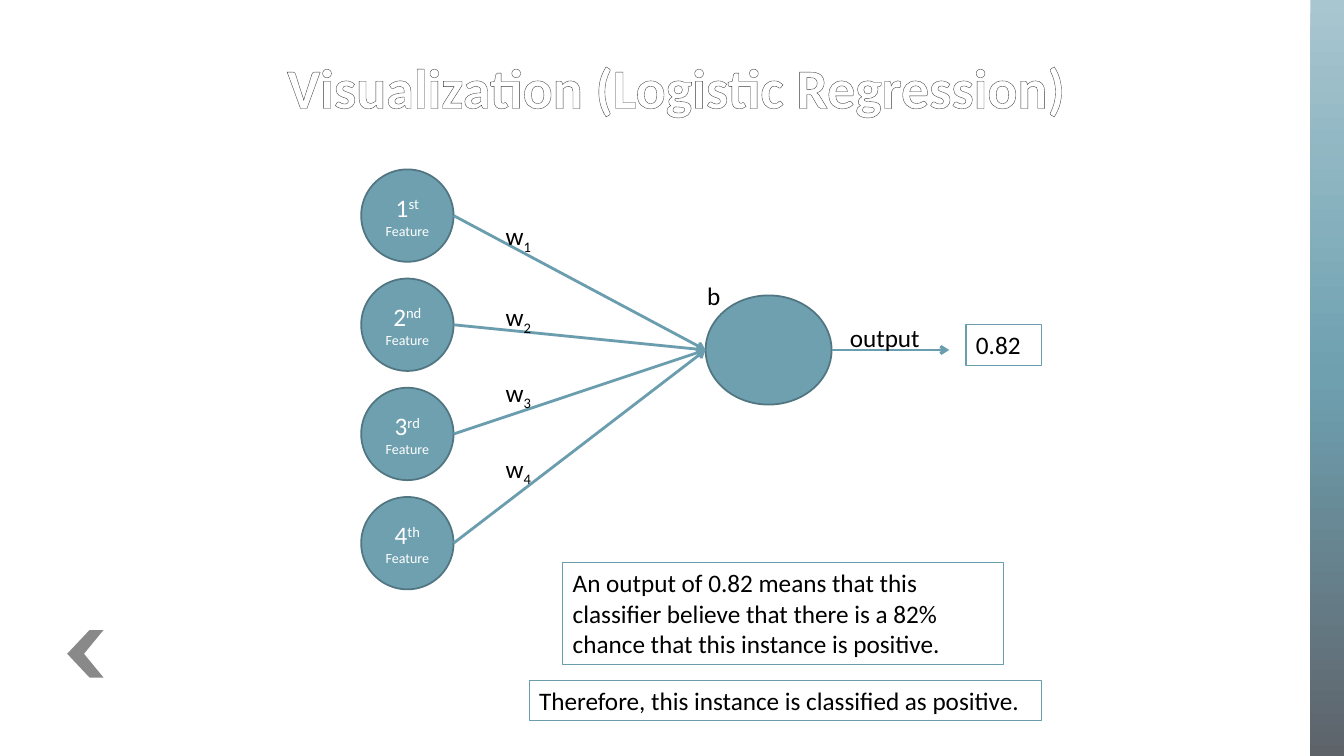
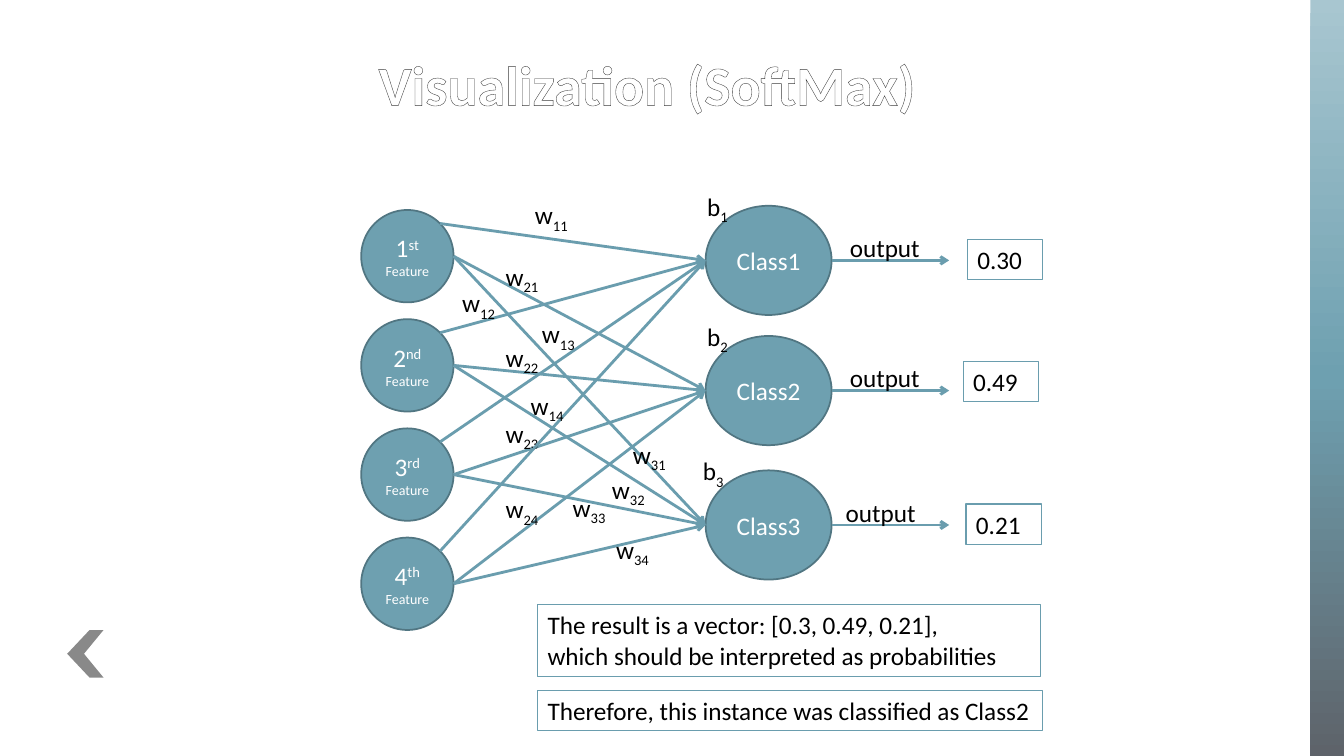
from math import cos, radians, sin

from lxml.etree import SubElement
from pptx import Presentation
from pptx.dml.color import RGBColor
from pptx.enum.shapes import MSO_CONNECTOR, MSO_SHAPE
from pptx.enum.text import MSO_ANCHOR, MSO_AUTO_SIZE, PP_ALIGN
from pptx.oxml.ns import qn
from pptx.util import Pt

COLORS = {
    "band_top": "A8C6D0",
    "accent": "6EA0B0",
    "band_bottom": "5E636A",
    "chevron": "898989",
    "node_edge": "517682",
    "stroke": "6A9DAE",
    "title_edge": "3B3B3B",
    "light": "FFFFFF",
    "dark": "000000",
}
FONT = "Calibri"
SLIDE_WIDTH, SLIDE_HEIGHT = 960, 540
FEATURE_SIZE, FEATURE_PITCH, FEATURE_LEFT = 66, 78, 258
NEURON_LEFT, NEURON_WIDTH, NEURON_HEIGHT = 504, 90, 78
LABEL_HEIGHT = 29
ORDINALS = ["st", "nd", "rd", "th"]
SITE_ANGLES = {2: 180, 6: 0, 7: -45}
SUPERSCRIPT, SUBSCRIPT = 30000, -25000

STRAIGHT_LABELS = [(-150, -57), (-150, 1), (-150, 55), (-150, 109)]
UPPER_LABELS = [(-129, -8), (-181, 55), (-124, 77), (-132, 128)]
LOWER_LABELS = [(-59, -26), (-74, -1), (-102, 12), (-71, 42)]


def rgb(name):
    return RGBColor.from_string(COLORS[name])


def set_font(paragraph, color, size=18):
    paragraph.font.name = FONT
    paragraph.font.size = Pt(size)
    paragraph.font.color.rgb = rgb(color)


def add_run(paragraph, text, baseline=0):
    run = paragraph.add_run()
    run.text = text
    if baseline:
        run.font._element.set("baseline", str(baseline))
    return run


def add_text(shapes, box, lines, subscript="", framed=False):
    caption = shapes.add_textbox(*map(Pt, box))
    frame = caption.text_frame
    frame.word_wrap = True
    frame.auto_size = MSO_AUTO_SIZE.SHAPE_TO_FIT_TEXT
    for index, line in enumerate(lines.split("\n")):
        paragraph = frame.add_paragraph() if index else frame.paragraphs[0]
        set_font(paragraph, "dark")
        add_run(paragraph, line)
    if subscript:
        add_run(paragraph, subscript, SUBSCRIPT)
    if framed:
        caption.line.color.rgb = rgb("stroke")
        caption.line.width = Pt(0.75)


def add_node(shapes, box):
    node = shapes.add_shape(MSO_SHAPE.OVAL, *map(Pt, box))
    node.shadow.inherit = False
    node.fill.solid()
    node.fill.fore_color.rgb = rgb("accent")
    node.line.color.rgb = rgb("node_edge")
    node.line.width = Pt(1.25)
    frame = node.text_frame
    frame.word_wrap = True
    frame.vertical_anchor = MSO_ANCHOR.MIDDLE
    paragraph = frame.paragraphs[0]
    paragraph.alignment = PP_ALIGN.CENTER
    set_font(paragraph, "light")
    return node


def site_point(node, site):
    angle = radians(SITE_ANGLES[site])
    x = node.left + node.width / 2 * (1 + cos(angle))
    y = node.top + node.height / 2 * (1 + sin(angle))
    return round(x), round(y)


def add_arrow(shapes, source, source_site, target=None, length=0):
    start = site_point(source, source_site)
    end = site_point(target, 2) if target else (start[0] + Pt(length), start[1])
    arrow = shapes.add_connector(MSO_CONNECTOR.STRAIGHT, *start, *end)
    arrow.line.color.rgb = rgb("stroke")
    arrow.line.width = Pt(2)
    SubElement(arrow.line._get_or_add_ln(), qn("a:tailEnd"), type="arrow")
    SubElement(arrow._element.spPr, qn("a:effectLst"))
    links = arrow._element.nvCxnSpPr.cNvCxnSpPr
    begin = links.get_or_add_stCxn()
    begin.id, begin.idx = source.shape_id, source_site
    if target:
        finish = links.get_or_add_endCxn()
        finish.id, finish.idx = target.shape_id, 2


def add_side_band(slide, box):
    band = slide.shapes.add_shape(MSO_SHAPE.RECTANGLE, *map(Pt, box))
    band.shadow.inherit = False
    band.line.fill.background()
    band.fill.gradient()
    band.fill.gradient_angle = 270
    stops = band._element.spPr.find(".//" + qn("a:gsLst"))
    for stop in list(stops):
        stops.remove(stop)
    for position, name in ((0, "band_top"), (50000, "accent"), (100000, "band_bottom")):
        stop = SubElement(stops, qn("a:gs"), pos=str(position))
        SubElement(stop, qn("a:srgbClr"), val=COLORS[name])


def add_chevron(slide, box):
    left, top, width, height = box
    right, middle, bottom = left + width, top + height / 2, top + height
    notch, shoulder = left + 11, left + 15.5
    builder = slide.shapes.build_freeform(shoulder, top, scale=Pt(1))
    builder.add_line_segments(
        [(right, top), (notch, middle), (right, bottom), (shoulder, bottom), (left, middle)]
    )
    chevron = builder.convert_to_shape()
    chevron.shadow.inherit = False
    chevron.fill.solid()
    chevron.fill.fore_color.rgb = rgb("chevron")
    chevron.line.fill.background()


def add_title(slide, box, text):
    frame = slide.shapes.add_textbox(*map(Pt, box)).text_frame
    frame.word_wrap = True
    frame.vertical_anchor = MSO_ANCHOR.BOTTOM
    paragraph = frame.paragraphs[0]
    paragraph.alignment = PP_ALIGN.RIGHT
    run = add_run(paragraph, text)
    outline = SubElement(run.font._element, qn("a:ln"), w=str(Pt(1)))
    SubElement(SubElement(outline, qn("a:solidFill")), qn("a:srgbClr"), val=COLORS["title_edge"])
    set_font(run, "light", 40)
    run.font.bold = True


def add_features(slide, left, top):
    features = []
    for index, ordinal in enumerate(ORDINALS):
        box = (left, top + index * FEATURE_PITCH, FEATURE_SIZE, FEATURE_SIZE)
        feature = add_node(slide.shapes, box)
        paragraph = feature.text_frame.paragraphs[0]
        add_run(paragraph, str(index + 1))
        add_run(paragraph, ordinal + " ", SUPERSCRIPT)
        add_run(paragraph, "Feature").font.size = Pt(10)
        features.append(feature)
    return features


def add_neuron(slide, box, features, label_offsets, number="", source_site=6, label_shift=0):
    left, top, width, height = box
    shapes = slide.shapes.add_group_shape().shapes
    neuron = add_node(shapes, box)
    if number:
        add_run(neuron.text_frame.paragraphs[0], f"Class{number}")
    for feature in features:
        add_arrow(shapes, feature, source_site, neuron)
    for index, (dx, dy) in enumerate(label_offsets, 1):
        add_text(shapes, (left + dx, top + dy, 48, LABEL_HEIGHT), "w", f"{number}{index}")
    add_text(shapes, (left - 6 + label_shift, top - 14, 40, LABEL_HEIGHT), "b", number)
    add_arrow(shapes, neuron, 6, length=84)
    add_text(shapes, (left + width + 6 + label_shift, top + 15.5, 72, LABEL_HEIGHT), "output")


def add_framed_texts(slide, entries):
    for box, text in entries:
        add_text(slide.shapes, box, text, framed=True)


def start_slide(presentation, title_box, title):
    slide = presentation.slides.add_slide(presentation.slide_layouts[6])
    add_side_band(slide, (936, 0, 24, SLIDE_HEIGHT))
    add_chevron(slide, (48.5, 450, 25.5, 34))
    add_title(slide, title_box, title)
    return slide


def build_logistic_slide(presentation):
    slide = start_slide(presentation, (192, 32, 576, 57), "Visualization (Logistic Regression)")
    features = add_features(slide, FEATURE_LEFT, 121)
    neuron_box = (NEURON_LEFT, 211, NEURON_WIDTH, NEURON_HEIGHT)
    add_neuron(slide, neuron_box, features, STRAIGHT_LABELS)
    add_framed_texts(slide, [
        ((690, 232, 54, LABEL_HEIGHT), "0.82"),
        ((402, 402, 315, 73), "An output of 0.82 means that this classifier believe that "
                              "there is a 82% chance that this instance is positive."),
        ((378, 486, 366, LABEL_HEIGHT), "Therefore, this instance is classified as positive."),
    ])


def build_softmax_slide(presentation):
    slide = start_slide(presentation, (255, 30, 406, 57), "Visualization (SoftMax)")
    features = add_features(slide, FEATURE_LEFT, 150)
    neurons = [
        ("2", 240, STRAIGHT_LABELS, 6, 0),
        ("3", 336, LOWER_LABELS, 6, -3),
        ("1", 147, UPPER_LABELS, 7, 0),
    ]
    for number, top, label_offsets, source_site, label_shift in neurons:
        neuron_box = (NEURON_LEFT, top, NEURON_WIDTH, NEURON_HEIGHT)
        add_neuron(slide, neuron_box, features, label_offsets, number, source_site, label_shift)
    add_framed_texts(slide, [
        ((691, 171, 54, LABEL_HEIGHT), "0.30"),
        ((688, 258, 54, LABEL_HEIGHT), "0.49"),
        ((690, 360, 54, LABEL_HEIGHT), "0.21"),
        ((384, 432, 359, 51), "The result is a vector: [0.3, 0.49, 0.21],\n"
                              "which should be interpreted as probabilities"),
        ((384, 493, 361, LABEL_HEIGHT), "Therefore, this instance was classified as Class2"),
    ])


def main():
    presentation = Presentation()
    presentation.slide_width = Pt(SLIDE_WIDTH)
    presentation.slide_height = Pt(SLIDE_HEIGHT)
    build_logistic_slide(presentation)
    build_softmax_slide(presentation)
    presentation.save("out.pptx")


if __name__ == "__main__":
    main()
